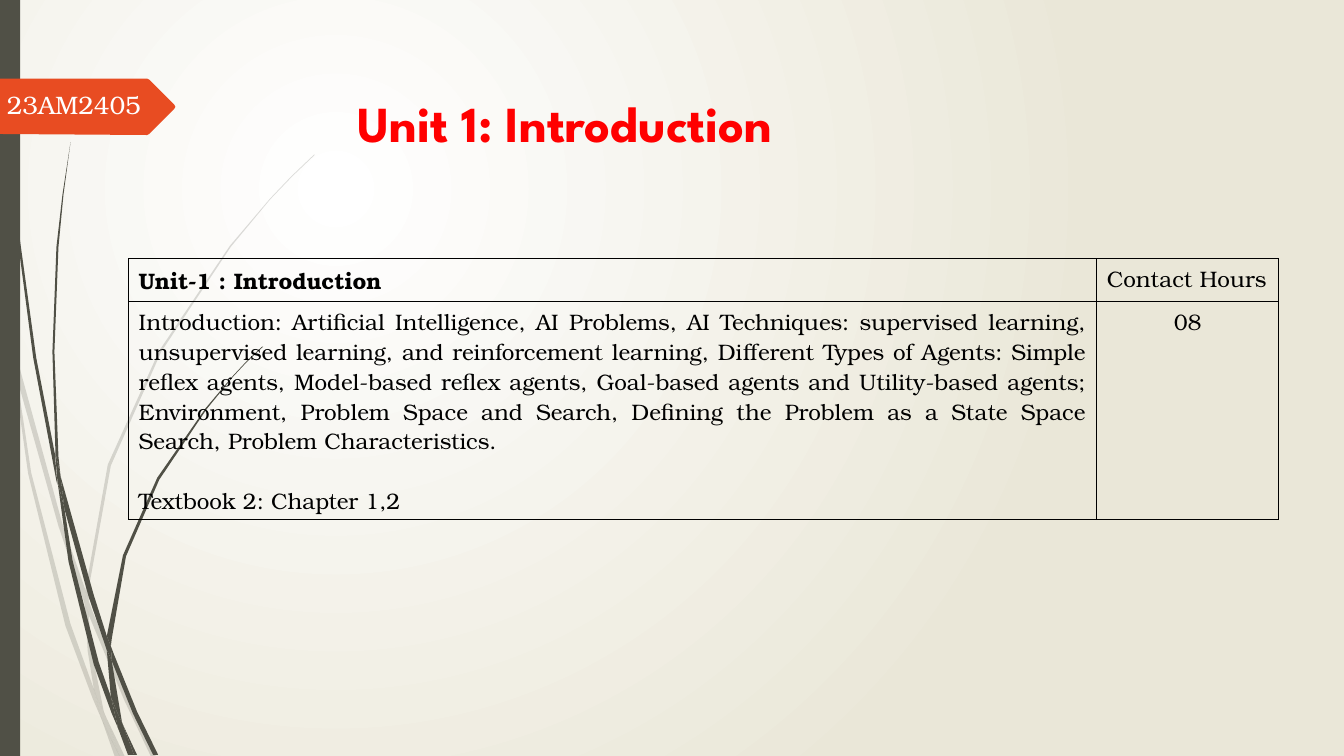
from lxml import etree
from pptx import Presentation
from pptx.dml.color import RGBColor
from pptx.enum import shapes, text
from pptx.oxml import ns
from pptx.util import Pt

COLORS = {"wisp": "505046", "tag": "E84C22", "title": "FF0000", "ink": "000000",
          "white": "FFFFFF", "sand": "EAE7D8"}
SERIF, DISPLAY = "TeX Gyre Bonum", "League Spartan"
GRID = Pt(0.72)  # outline coordinates count hundredths of an inch

PALE_WISPS = [
    [(11, 350), (9, 322), (0, 282), (0, 299), (10, 344)],
    [(58, 522), (84, 599), (85, 586), (62, 520), (14, 345), (17, 376)],
    [(92, 607), (88, 596), (88, 610), (123, 694), (150, 751), (155, 751), (127, 692)],
    [(119, 751), (124, 751), (105, 711)],
    [(93, 683), (70, 619), (31, 469), (17, 376), (11, 350), (28, 470), (65, 621),
     (92, 693), (101, 714), (99, 707)],
    [(84, 599), (87, 646), (93, 683), (96, 692), (105, 711), (103, 706), (91, 646),
     (88, 610), (88, 608)],
    [(88, 584), (110, 462), (160, 349), (229, 245), (268, 198), (290, 175), (312, 154),
     (312, 153), (289, 175), (268, 197), (228, 244), (158, 348), (107, 461), (85, 584),
     (85, 586), (88, 596)],
    [(101, 714), (114, 751), (119, 751)],
    [(88, 608), (88, 610), (88, 596), (85, 586), (84, 599)],
    [(96, 692), (93, 683), (99, 707), (101, 714), (119, 751), (105, 711)],
]
DARK_WISPS = [
    [(7, 110), (17, 233), (33, 355), (56, 477), (57, 481), (55, 457), (55, 453),
     (36, 355), (19, 232), (8, 109), (5, 48), (4, 0), (3, 0), (4, 48)],
    [(88, 592), (106, 645), (106, 633), (106, 631), (93, 590), (60, 472), (64, 505)],
    [(113, 649), (110, 641), (111, 656), (132, 708), (152, 749), (157, 749), (136, 706)],
    [(110, 691), (98, 657), (72, 556), (64, 505), (57, 477), (68, 557), (93, 659),
     (111, 708), (117, 722), (116, 717)],
    [(60, 472), (58, 453), (54, 349), (58, 245), (63, 193), (70, 141), (62, 193),
     (56, 245), (52, 349), (55, 449)],
    [(133, 749), (136, 749), (122, 719)],
    [(57, 477), (64, 505), (60, 472), (55, 449), (55, 453)],
    [(111, 633), (125, 552), (158, 476), (205, 406), (231, 374), (245, 359), (261, 344),
     (260, 344), (245, 358), (231, 373), (204, 405), (156, 474), (122, 551), (106, 631),
     (110, 641)],
    [(117, 722), (127, 749), (131, 749)],
    [(106, 645), (110, 691), (116, 706), (122, 719), (121, 716), (111, 656), (109, 651)],
    [(106, 645), (109, 651), (111, 656), (110, 641), (106, 631), (106, 633)],
    [(116, 706), (110, 691), (116, 717), (117, 722), (130, 749), (133, 749), (122, 719)],
]
CODE_TAG = [(0, 78), (146, 78), (148, 79), (173, 104), (174, 106), (173, 108),
            (148, 133), (146, 134), (0, 133)]

TOPICS = (
    "Introduction: Artificial Intelligence, AI Problems, AI Techniques: supervised learning, "
    "unsupervised learning, and reinforcement learning, Different Types of Agents: Simple "
    "reflex agents, Model‐based reflex agents, Goal‐based agents and Utility‐based agents; "
    "Environment, Problem Space and Search, Defining the Problem as a State Space Search, "
    "Problem Characteristics."
)


def rgb(name):
    return RGBColor.from_string(COLORS[name])


def paint_background(s):
    """Radial gradient spreading from the upper left quarter."""
    fill = s.background.fill
    fill.gradient()
    for stop, name in zip(fill.gradient_stops, ("white", "sand")):
        stop.color.rgb = rgb(name)
    grad = s.element.find(".//" + ns.qn("a:gradFill"))
    grad.remove(grad.find(ns.qn("a:lin")))
    circle = etree.SubElement(grad, ns.qn("a:path"), path="circle")
    etree.SubElement(circle, ns.qn("a:fillToRect"), l="50000", t="50000",
                     r="100000", b="100000")


def paint_shape(sp, color, opacity=100):
    sp.shadow.inherit = False
    sp.fill.solid()
    sp.fill.fore_color.rgb = rgb(color)
    sp.line.fill.background()
    if opacity < 100:
        clr = sp.element.spPr.find(".//" + ns.qn("a:srgbClr"))
        etree.SubElement(clr, ns.qn("a:alpha"), val=str(opacity * 1000))


def add_outline(parent, points, color, opacity=100):
    builder = parent.build_freeform(*points[0], scale=GRID)
    builder.add_line_segments(points[1:], close=True)
    paint_shape(builder.convert_to_shape(), color, opacity)


def add_wisps(s, outlines, opacity=100):
    group = s.shapes.add_group_shape()
    for points in outlines:
        add_outline(group.shapes, points, "wisp", opacity)


def add_run(p, words, size, font, color, bold=False):
    r = p.add_run()
    r.text = words
    r.font.size = Pt(size)
    r.font.name = font
    r.font.bold = bold
    r.font.color.rgb = rgb(color)


def add_label(s, box, words, size, font, color, bold=False):
    sp = s.shapes.add_textbox(*map(Pt, box))
    tf = sp.text_frame
    tf.word_wrap = True
    add_run(tf.paragraphs[0], words, size, font, color, bold)


def frame_cell(cell):
    """Black one-point borders round a cell without fill."""
    tcPr = cell._tc.get_or_add_tcPr()
    for side in ("lnL", "lnR", "lnT", "lnB"):
        ln = etree.SubElement(tcPr, ns.qn("a:" + side), w=str(Pt(1)))
        solid = etree.SubElement(ln, ns.qn("a:solidFill"))
        etree.SubElement(solid, ns.qn("a:srgbClr"), val=COLORS["ink"])
    cell.fill.background()


def fill_cell(cell, paragraphs, align, bold=False):
    frame_cell(cell)
    tf = cell.text_frame
    for i, words in enumerate(paragraphs):
        p = tf.add_paragraph() if i else tf.paragraphs[0]
        p.alignment = align
        if i:
            p.space_before = Pt(21.3)
        add_run(p, words, 16, SERIF, "ink", bold)


def add_syllabus(s):
    widths, heights = (691.5, 129.9), (30.5, 156)
    frame = s.shapes.add_table(2, 2, Pt(91.9), Pt(184.8), Pt(sum(widths)), Pt(sum(heights)))
    table = frame.table
    table.first_row = table.horz_banding = False
    for column, width in zip(table.columns, widths):
        column.width = Pt(width)
    for row, height in zip(table.rows, heights):
        row.height = Pt(height)
    justify, center = text.PP_ALIGN.JUSTIFY, text.PP_ALIGN.CENTER
    fill_cell(table.cell(0, 0), ["Unit-1 : Introduction"], justify, bold=True)
    table.cell(0, 0).vertical_anchor = text.MSO_ANCHOR.MIDDLE
    fill_cell(table.cell(0, 1), ["Contact Hours"], justify)
    fill_cell(table.cell(1, 0), [TOPICS, "Textbook 2: Chapter 1,2"], justify)
    fill_cell(table.cell(1, 1), ["08"], center)


def main():
    prs = Presentation()
    prs.slide_width, prs.slide_height = Pt(960), Pt(540)
    s = prs.slides.add_slide(prs.slide_layouts[6])
    paint_background(s)
    add_wisps(s, PALE_WISPS, opacity=20)
    add_wisps(s, DARK_WISPS)
    side_bar = s.shapes.add_shape(shapes.MSO_SHAPE.RECTANGLE, 0, 0, Pt(14.4), Pt(540))
    paint_shape(side_bar, "wisp")
    add_outline(s.shapes, CODE_TAG, "tag")
    add_label(s, (248.4, 62.6, 385.2, 75.6), "Unit 1: Introduction", 36, DISPLAY, "title", True)
    add_syllabus(s)
    add_label(s, (-2.2, 60.5, 136.8, 28.8), "23AM2405", 18, SERIF, "white")
    prs.save("out.pptx")


if __name__ == "__main__":
    main()
